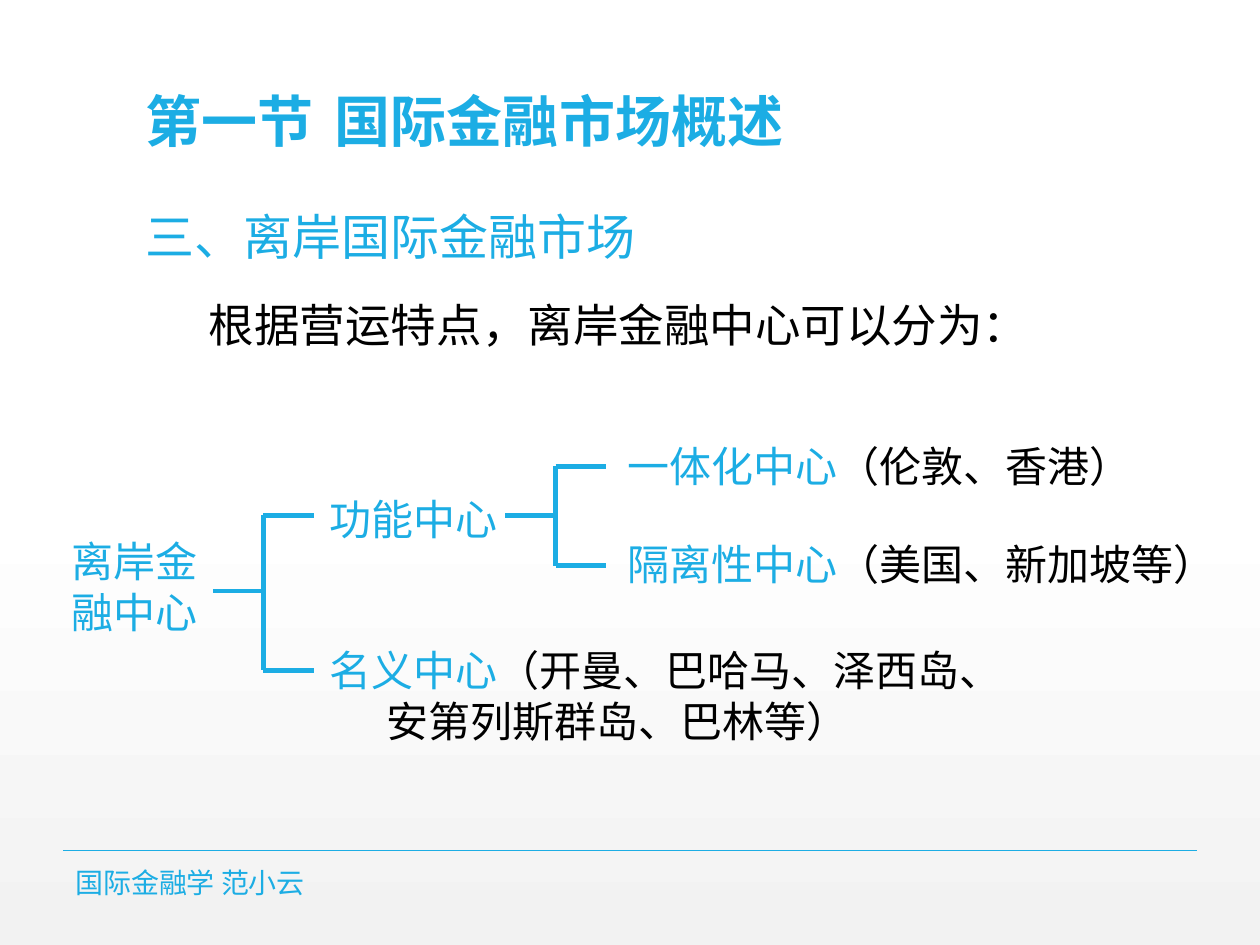
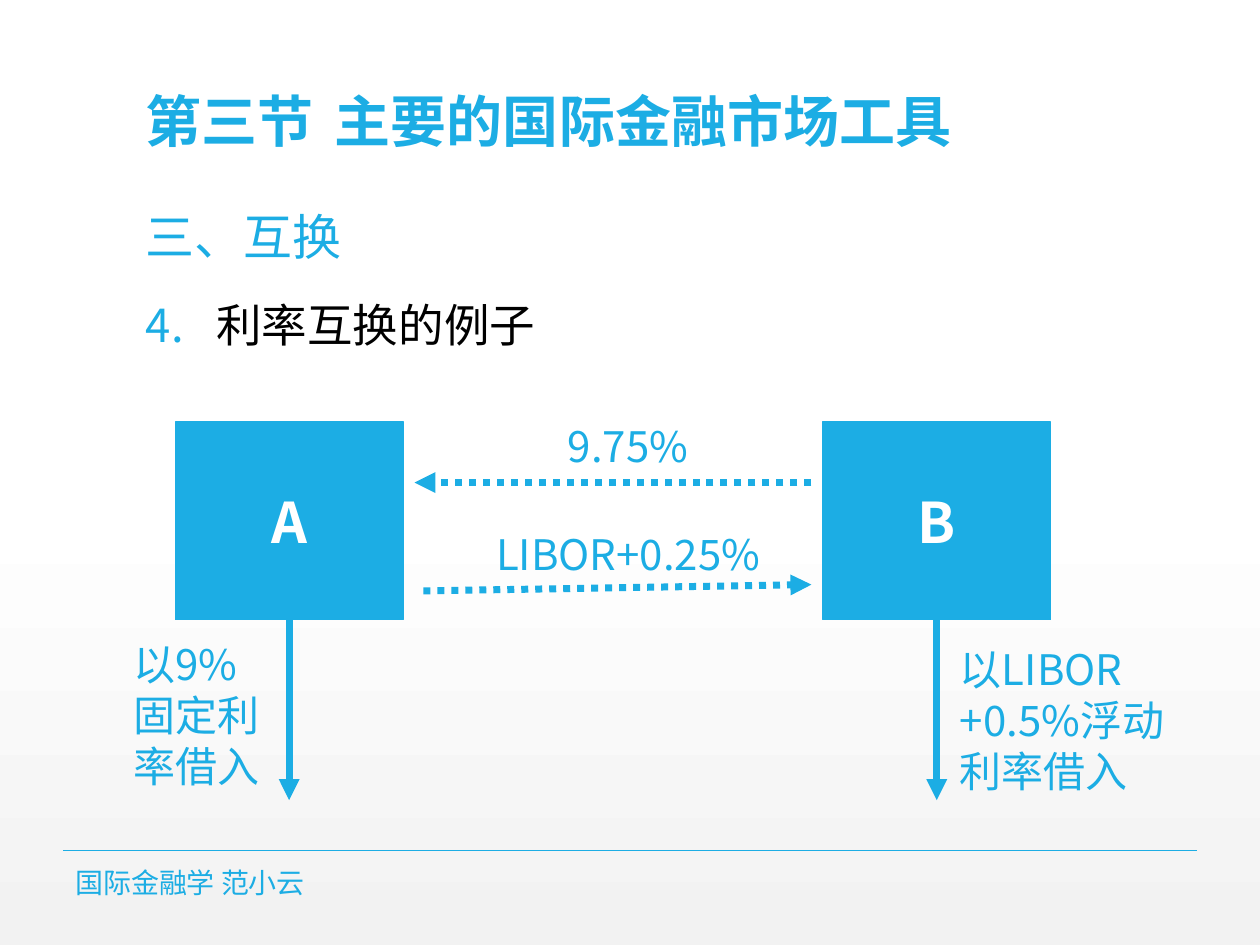
from lxml import etree
from pptx import Presentation
from pptx.dml.color import RGBColor
from pptx.enum.dml import MSO_LINE_DASH_STYLE as DASH
from pptx.enum.shapes import MSO_CONNECTOR as CONN, MSO_SHAPE as SHAPE
from pptx.enum.text import MSO_ANCHOR as ANCHOR, PP_ALIGN as ALIGN
from pptx.oxml.ns import qn
from pptx.util import Inches, Pt

BLUE = RGBColor(0x1C, 0xAD, 0xE4)
BLACK = RGBColor(0, 0, 0)
WHITE = RGBColor(0xFF, 0xFF, 0xFF)
GREY = RGBColor(0xF2, 0xF2, 0xF2)
CJK = "Noto Sans CJK SC"
LINE_HEIGHT = 1.22


def sub(parent, tag, **attrs):
    """Append a drawing element to parent and return it."""
    return etree.SubElement(parent, qn(tag), {k: str(v) for k, v in attrs.items()})


def write(tf, text, size=24, color=BLUE, font=CJK, bold=False, align=ALIGN.LEFT,
          before=0, margin=0, indent=0, number=None, tab=None, spacing=1, new=True):
    """Write one run, in a new paragraph unless new is False."""
    p = tf.paragraphs[-1]
    if new:
        if p.runs:
            p = tf.add_paragraph()
        pPr = p._p.get_or_add_pPr()
        pPr.set("marL", str(Inches(margin)))
        pPr.set("indent", str(Inches(indent)))
        if number:
            sub(sub(pPr, "a:buClr"), "a:srgbClr", val=BLUE)
            sub(pPr, "a:buFont", typeface=font)
            sub(pPr, "a:buAutoNum", type="arabicPeriod", startAt=number)
        if tab:
            sub(sub(pPr, "a:tabLst"), "a:tab", pos=Inches(tab), algn="l")
        p.alignment = align
        p.space_before = Pt(before)
        p.line_spacing = Pt(round(size * LINE_HEIGHT * spacing, 1))
    r = p.add_run()
    r.text = text
    r.font.size, r.font.bold, r.font.name = Pt(size), bold, font
    r.font.color.rgb = color
    sub(r._r.get_or_add_rPr(), "a:ea", typeface=CJK)


class Deck:
    """Holds the shared style and the slide being built."""

    def __init__(self):
        self.prs = Presentation()
        self.prs.slide_width, self.prs.slide_height = Inches(10), Inches(7.5)
        fill = self.prs.slide_master.background.fill
        fill.gradient()
        fill.gradient_angle = 270
        for stop, position, color in zip(fill.gradient_stops, (0.53, 1), (WHITE, GREY)):
            stop.position, stop.color.rgb = position, color

    def slide(self, section, title, heading):
        """Start a slide with its frame and return the body text frame."""
        self.s = self.prs.slides.add_slide(self.prs.slide_layouts[6])
        self.line((0.5, 6.75), (9.5, 6.75), width=1)
        tf = self.box(1.06, 0.02, 7.88, 1.25, anchor=ANCHOR.BOTTOM)
        write(tf, f"{section}\t{title}", size=32, font="Arial", bold=True, tab=2, spacing=0.9)
        body = self.box(1.06, 1.58, 7.88, 5.3)
        write(body, heading, size=28)
        write(self.box(0.5, 6.88, 5.03, 0.24, anchor=ANCHOR.MIDDLE), "国际金融学 范小云", size=16)
        return body

    def box(self, x, y, w, h, anchor=ANCHOR.TOP):
        """Add a wrapping text box and return its text frame."""
        tf = self.s.shapes.add_textbox(Inches(x), Inches(y), Inches(w), Inches(h)).text_frame
        tf.word_wrap, tf.vertical_anchor = True, anchor
        return tf

    def label(self, x, y, w, text, h=0.5, examples="", **fmt):
        """Add a label, with examples in black after it."""
        tf = self.box(x, y, w, h)
        write(tf, text, **fmt)
        if examples:
            write(tf, examples, color=BLACK, new=False, **fmt)
        return tf

    def line(self, start, end, width=2.75, dash=None, arrow=False):
        """Add a straight line, with an arrowhead at its end if asked."""
        c = self.s.shapes.add_connector(CONN.STRAIGHT, *map(Inches, start + end))
        c.line.color.rgb, c.line.width = BLUE, Pt(width)
        if dash:
            c.line.dash_style = dash
        if arrow:
            sub(c.line._get_or_add_ln(), "a:tailEnd", type="triangle")
        sub(c._element.spPr, "a:effectLst")
        return c

    def bracket(self, x, y, branches, reach=0.4):
        """Add a stem that splits into branches at the given heights."""
        spine = x + reach
        self.line((x, y), (spine, y))
        self.line((spine, branches[0]), (spine, branches[-1]))
        for branch in branches:
            self.line((spine, branch), (spine + reach, branch))

    def party(self, x, y, name, w=1.81, h=1.57):
        """Add a filled square with a name and an arrow leaving it downwards."""
        sp = self.s.shapes.add_shape(SHAPE.RECTANGLE, Inches(x), Inches(y), Inches(w), Inches(h))
        sp.shadow.inherit = False
        sp.fill.solid()
        sp.fill.fore_color.rgb = sp.line.color.rgb = BLUE
        sp.line.width = Pt(0.75)
        sp.text_frame.vertical_anchor = ANCHOR.MIDDLE
        write(sp.text_frame, name, size=32, color=WHITE, bold=True, align=ALIGN.CENTER)
        middle = x + w / 2
        arrow = self.line((middle, y + h), (middle, 6.35), width=4, arrow=True)
        arrow.begin_connect(sp, 2)


def offshore_centres(deck):
    """Build the tree of offshore financial centres."""
    body = deck.slide("第一节", "国际金融市场概述", "三、离岸国际金融市场")
    write(body, "根据营运特点，离岸金融中心可以分为：", size=26, color=BLACK, before=18, indent=0.5)
    deck.label(0.47, 4.19, 1.34, "离岸金融中心", h=0.91, font="Arial")
    deck.bracket(1.69, 4.69, (4.09, 5.32))
    deck.label(2.52, 3.86, 1.57, "功能中心", font="Arial")
    nominal = deck.label(2.52, 5.06, 5.79, "名义中心", h=0.91,
                         examples="（开曼、巴哈马、泽西岛、", font="Arial")
    write(nominal, "安第列斯群岛、巴林等）", color=BLACK, font="Arial", margin=0.45)
    deck.bracket(4.01, 4.09, (3.7, 4.49))
    deck.label(4.88, 3.44, 4.72, "一体化中心", examples="（伦敦、香港）", font="Arial")
    deck.label(4.88, 4.22, 5.12, "隔离性中心", examples="（美国、新加坡等）", font="Arial")


def interest_rate_swap(deck):
    """Build the interest rate swap between two parties."""
    body = deck.slide("第三节", "主要的国际金融市场工具", "三、互换")
    write(body, "利率互换的例子", size=26, color=BLACK, before=18,
          margin=0.56, indent=-0.56, number=4)
    for x, name in ((1.39, "A"), (6.53, "B")):
        deck.party(x, 3.35, name)
    flows = (("9.75%", 3.28, (6.44, 3.83), (3.29, 3.83)),
             ("LIBOR+0.25%", 4.14, (3.36, 4.69), (6.44, 4.64)))
    for rate, y, start, end in flows:
        deck.line(start, end, width=4, dash=DASH.ROUND_DOT, arrow=True)
        deck.label(3.53, y, 2.91, rate, align=ALIGN.CENTER)
    deck.label(0.96, 5.01, 1.22, "以9%固定利率借入", h=1.31)
    deck.label(7.52, 5.05, 1.89, "以LIBOR +0.5%浮动利率借入", h=1.31)


def main():
    """Build both slides and save them."""
    deck = Deck()
    offshore_centres(deck)
    interest_rate_swap(deck)
    deck.prs.save("out.pptx")


if __name__ == "__main__":
    main()
